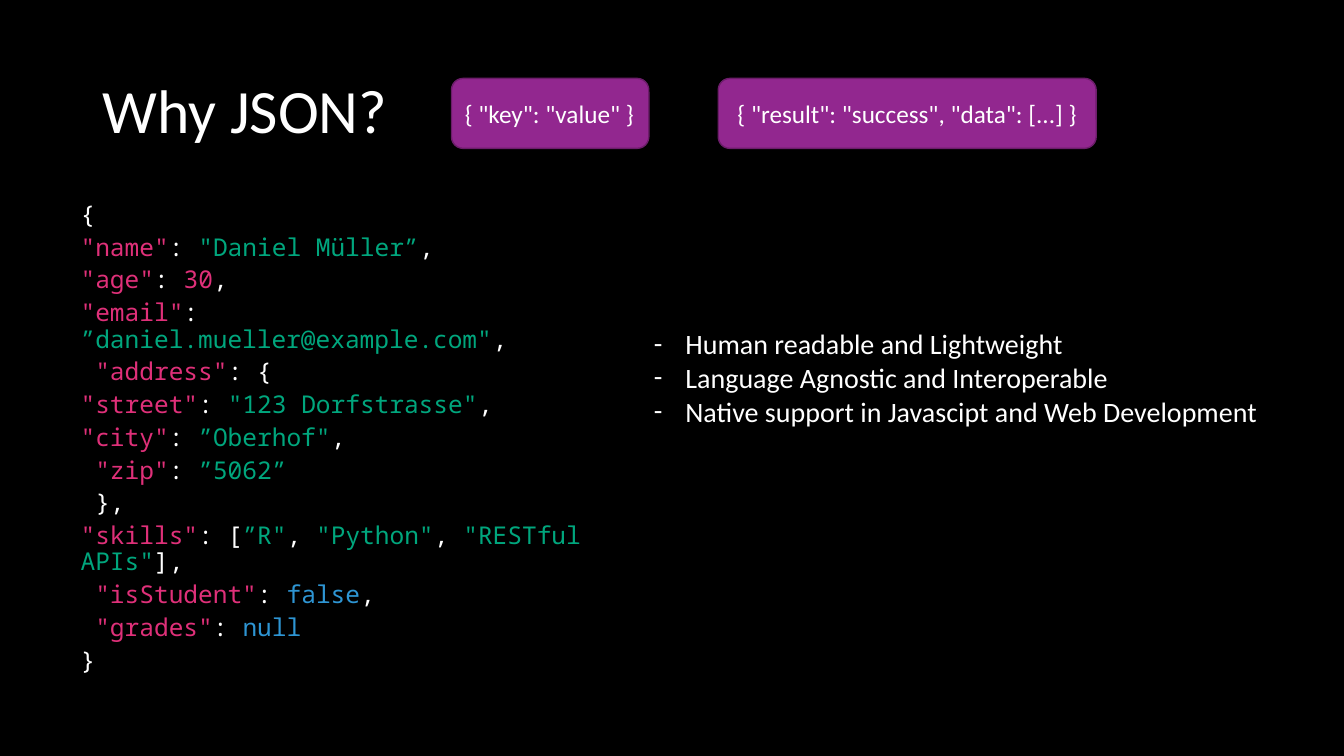
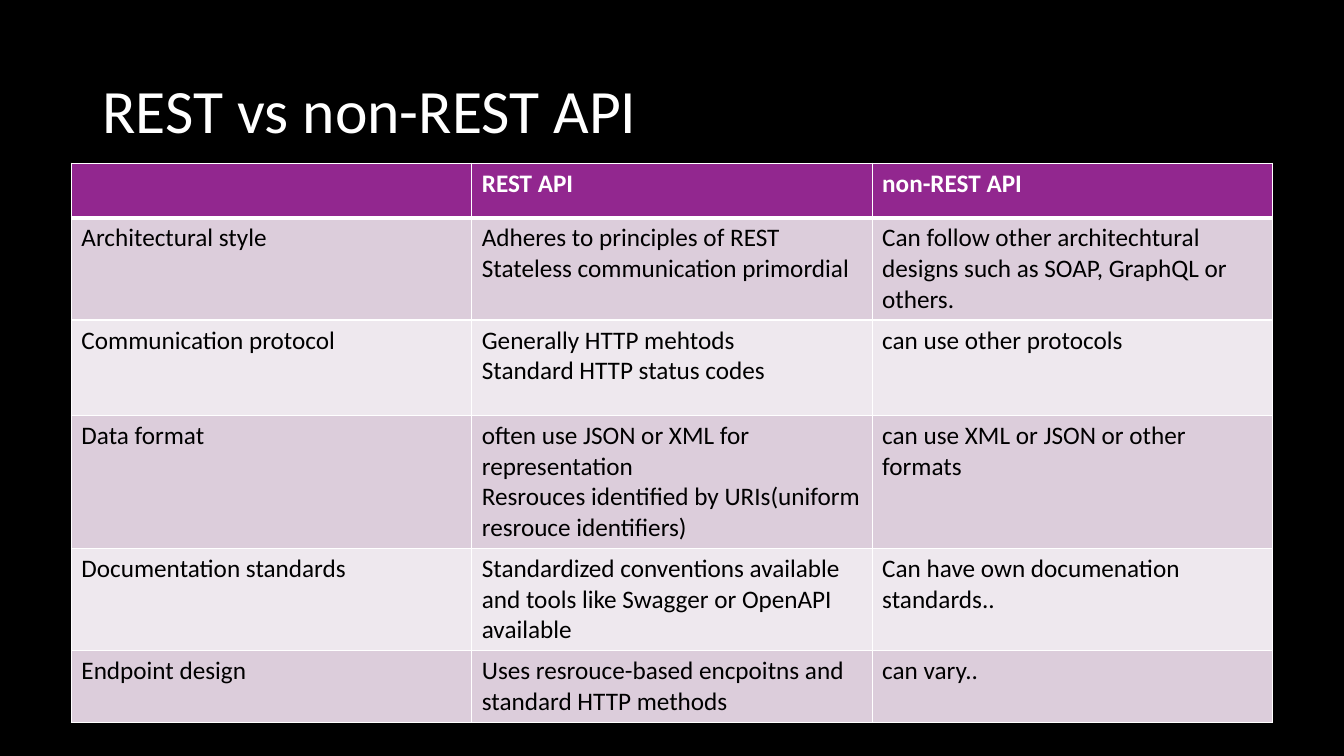
from lxml import etree
from pptx import Presentation
from pptx.dml.color import RGBColor
from pptx.enum.shapes import MSO_SHAPE
from pptx.enum.text import MSO_ANCHOR, MSO_AUTO_SIZE, PP_ALIGN
from pptx.oxml.ns import qn
from pptx.util import Pt

ROUND = MSO_SHAPE.ROUNDED_RECTANGLE
MIDDLE = MSO_ANCHOR.MIDDLE
NO_FIT = MSO_AUTO_SIZE.NONE
LEFT, CENTER = PP_ALIGN.LEFT, PP_ALIGN.CENTER
TITLE_ONLY = 5

BLACK, WHITE = "000000", "FFFFFF"
PURPLE, EDGE = "92278F", "6C1D6A"
BANDS = ("DCCDDB", "EEE8EE")
KEY, TEXT, WORD = "DF3079", "00A67D", "2E95D3"
SANS, MONO = "Calibri", "Noto Sans Mono"


def rgb(color):
    return RGBColor.from_string(color)


def style(run, size, color, face=SANS, bold=False):
    font = run.font
    font.name, font.size, font.bold = face, Pt(size), bold
    font.color.rgb = rgb(color)


def write(frame, text, size, color=WHITE, align=LEFT, bold=False):
    """Fill a text frame, one paragraph per line, in one style."""
    frame.text = text
    for para in frame.paragraphs:
        para.alignment = align
        for run in para.runs:
            style(run, size, color, bold=bold)


def border(cell, side, width):
    props = cell._tc.get_or_add_tcPr()
    line = etree.SubElement(props, qn("a:ln" + side), w=str(Pt(width)))
    fill = etree.SubElement(line, qn("a:solidFill"))
    etree.SubElement(fill, qn("a:srgbClr"), val=WHITE)


class Deck:
    def __init__(self):
        self.prs = Presentation()
        self.prs.slide_width, self.prs.slide_height = Pt(960), Pt(540)
        fill = self.prs.slide_master.background.fill
        fill.solid()
        fill.fore_color.rgb = rgb(BLACK)

    def start(self, title):
        """Add a slide with its title and make it current."""
        layout = self.prs.slide_layouts[TITLE_ONLY]
        self.slide = self.prs.slides.add_slide(layout)
        head = self.slide.shapes.title
        head.left, head.top = Pt(66), Pt(29)
        head.width, head.height = Pt(828), Pt(104)
        frame = head.text_frame
        frame.auto_size, frame.vertical_anchor = NO_FIT, MIDDLE
        write(frame, title, 44)
        frame.paragraphs[0].line_spacing = 0.9

    def frame(self, left, top, width, height, wrap=True):
        box = self.slide.shapes.add_textbox(
            Pt(left), Pt(top), Pt(width), Pt(height))
        box.text_frame.word_wrap = wrap
        return box.text_frame

    def pill(self, text, left, width, align):
        shape = self.slide.shapes.add_shape(
            ROUND, Pt(left), Pt(56), Pt(width), Pt(50))
        shape.shadow.inherit = False
        shape.fill.solid()
        shape.fill.fore_color.rgb = rgb(PURPLE)
        shape.line.color.rgb = rgb(EDGE)
        shape.line.width = Pt(1)
        shape.text_frame.vertical_anchor = MIDDLE
        write(shape.text_frame, text, 18, align=align)

    def code(self, lines, *place):
        """Write lines of (text, colour) pieces in the code font."""
        frame = self.frame(*place)
        for i, line in enumerate(lines):
            para = frame.add_paragraph() if i else frame.paragraphs[0]
            para.line_spacing = 0.9
            para.space_before = Pt(4.5 if i else 0)
            for text, color in line:
                run = para.add_run()
                run.text = text
                style(run, 17.5, color, MONO)

    def bullets(self, items, *place):
        frame = self.frame(*place, wrap=False)
        frame.text = "\n".join(items)
        for para in frame.paragraphs:
            props = para._p.get_or_add_pPr()
            props.set("marL", str(Pt(22.5)))
            props.set("indent", str(-Pt(22.5)))
            etree.SubElement(props, qn("a:buFont"), typeface=SANS)
            etree.SubElement(props, qn("a:buChar"), char="-")
            style(para.runs[0], 20, WHITE)

    def table(self, rows, heights, left, top, width):
        grid = self.slide.shapes.add_table(
            len(rows), len(rows[0]), Pt(left), Pt(top),
            Pt(width), Pt(sum(heights))).table
        grid.horz_banding = False
        for r, row in enumerate(rows):
            grid.rows[r].height = Pt(heights[r])
            head = r == 0
            for c, text in enumerate(row):
                cell = grid.cell(r, c)
                write(cell.text_frame, text, 18,
                      WHITE if head else BLACK, bold=head)
                widths = {"L": 1, "R": 1, "T": 3 if r == 1 else 1,
                          "B": 3 if head else 1}
                for side, size in widths.items():
                    border(cell, side, size)
                cell.fill.solid()
                cell.fill.fore_color.rgb = rgb(
                    PURPLE if head else BANDS[(r - 1) % 2])


COLON, COMMA = (": ", WHITE), (",", WHITE)
JSON = [
    [("{", WHITE)],
    [('"name"', KEY), COLON, ('"Daniel Müller”', TEXT), COMMA],
    [('"age"', KEY), COLON, ("30", KEY), COMMA],
    [('"email"', KEY), COLON, ('”daniel.mueller@example.com"', TEXT), COMMA],
    [(' "address"', KEY), (": {", WHITE)],
    [('"street"', KEY), COLON, ('"123 Dorfstrasse"', TEXT), COMMA],
    [('"city"', KEY), COLON, ('”Oberhof"', TEXT), COMMA],
    [(' "zip"', KEY), COLON, ("”5062”", TEXT)],
    [(" },", WHITE)],
    [('"skills"', KEY), (": [", WHITE), ('”R"', TEXT), (", ", WHITE),
     ('"Python"', TEXT), (", ", WHITE), ('"RESTful APIs"', TEXT),
     ("],", WHITE)],
    [(' "isStudent"', KEY), COLON, ("false", WORD), COMMA],
    [(' "grades"', KEY), COLON, ("null", WORD)],
    [("}", WHITE)],
]
POINTS = [
    "Human readable and Lightweight",
    "Language Agnostic and Interoperable",
    "Native support in Javascipt and Web Development",
]
STYLES = [
    ("", "REST API", "non-REST API"),
    ("Architectural style",
     "Adheres to principles of REST\nStateless communication primordial",
     "Can follow other architechtural designs such as SOAP, GraphQL or "
     "others."),
    ("Communication protocol",
     "Generally HTTP mehtods\nStandard HTTP status codes",
     "can use other protocols"),
    ("Data format",
     "often use JSON or XML for representation\n"
     "Resrouces identified by URIs(uniform resrouce identifiers)",
     "can use XML or JSON or other formats"),
    ("Documentation standards",
     "Standardized conventions available and tools like Swagger or OpenAPI "
     "available",
     "Can have own documenation standards.."),
    ("Endpoint design",
     "Uses resrouce-based encpoitns and standard HTTP methods",
     "can vary.."),
]


def main():
    deck = Deck()
    deck.start("Why JSON?")
    deck.code(JSON, 50.5, 141, 381, 343)
    deck.pill('{ "key": "value" }', 322.5, 141, LEFT)
    deck.pill('{ "result": "success", "data": [...] }', 513, 270, CENTER)
    deck.bullets(POINTS, 460, 230, 449, 80)

    deck.start("REST vs non-REST API")
    deck.table(STYLES, (39, 73, 68, 95, 73, 51), 51, 116.5, 858)
    deck.prs.save("out.pptx")


if __name__ == "__main__":
    main()
